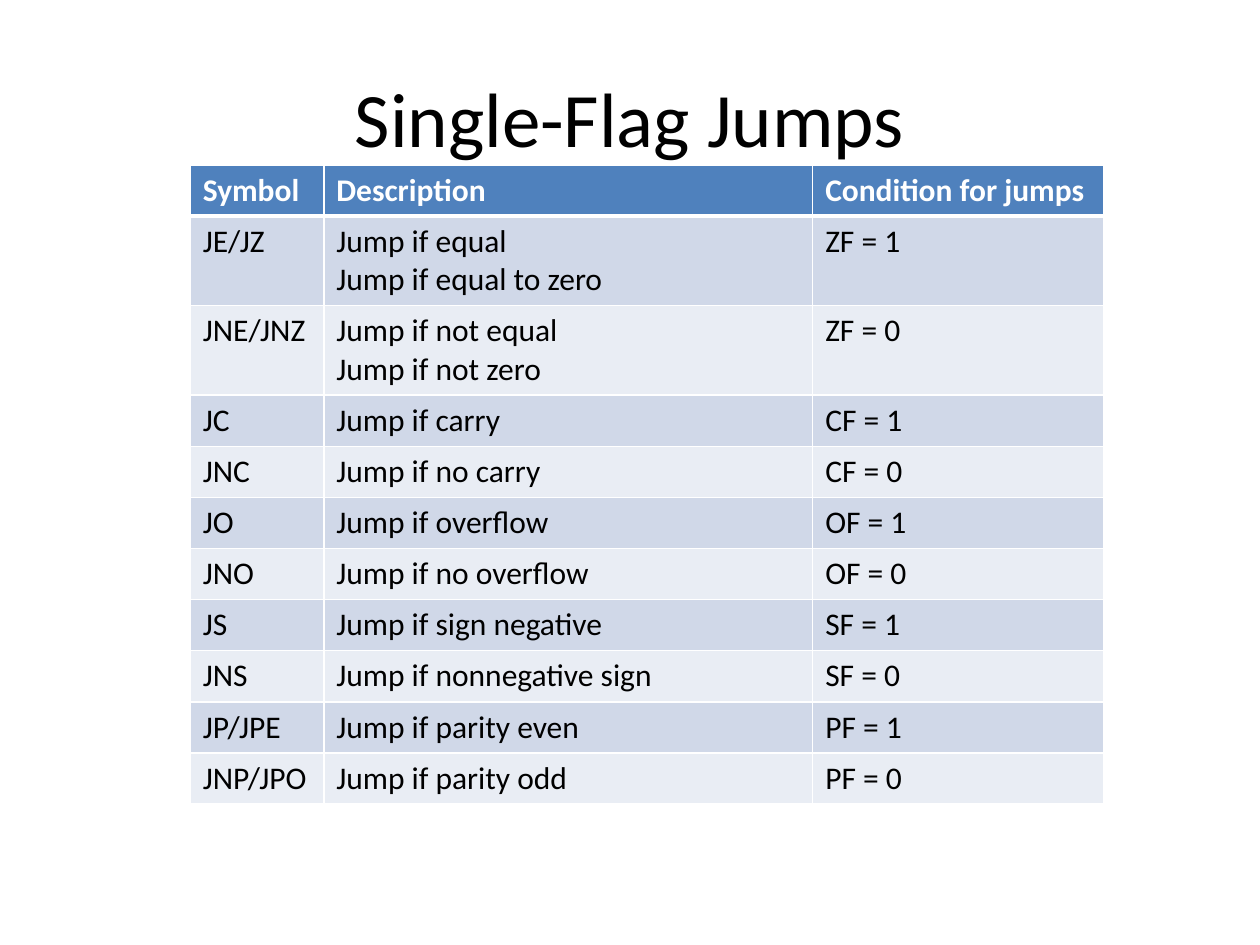
from lxml import etree
from pptx import Presentation
from pptx.dml.color import RGBColor
from pptx.enum.text import MSO_ANCHOR, PP_ALIGN
from pptx.oxml.ns import qn
from pptx.util import Inches, Pt

CENTER = PP_ALIGN.CENTER
MIDDLE = MSO_ANCHOR.MIDDLE
TITLE_ONLY = 5
FONT = "Calibri"
COLORS = {
    "header": "4F81BD",
    "odd_row": "D0D8E8",
    "even_row": "E9EDF4",
    "white": "FFFFFF",
    "black": "000000",
}
THIN, THICK = Pt(0.96), Pt(3)

COLUMN_WIDTHS = [1.06, 3.88, 2.31]
ROW_HEIGHT = 0.4
ROWS = [
    ("Symbol", ["Description"], "Condition for jumps"),
    ("JE/JZ", ["Jump if equal", "Jump if equal to zero"], "ZF = 1"),
    ("JNE/JNZ", ["Jump if not equal", "Jump if not zero"], "ZF = 0"),
    ("JC", ["Jump if carry"], "CF = 1"),
    ("JNC", ["Jump if no carry"], "CF = 0"),
    ("JO", ["Jump if overflow"], "OF = 1"),
    ("JNO", ["Jump if no overflow"], "OF = 0"),
    ("JS", ["Jump if sign negative"], "SF = 1"),
    ("JNS", ["Jump if nonnegative sign"], "SF = 0"),
    ("JP/JPE", ["Jump if parity even"], "PF = 1"),
    ("JNP/JPO", ["Jump if parity odd"], "PF = 0"),
]


def add_run(paragraph, text, size, color, bold=False):
    run = paragraph.add_run()
    run.text = text
    run.font.name = FONT
    run.font.size = Pt(size)
    run.font.bold = bold
    run.font.color.rgb = RGBColor.from_string(COLORS[color])


def set_borders(cell, top, bottom):
    properties = cell._tc.get_or_add_tcPr()
    for side, width in (("L", THIN), ("R", THIN), ("T", top), ("B", bottom)):
        line = etree.SubElement(properties, qn(f"a:ln{side}"), w=str(int(width)))
        fill = etree.SubElement(line, qn("a:solidFill"))
        etree.SubElement(fill, qn("a:srgbClr"), val=COLORS["white"])


presentation = Presentation()
presentation.slide_width = Inches(10)
presentation.slide_height = Inches(7.5)
slide = presentation.slides.add_slide(presentation.slide_layouts[TITLE_ONLY])

# Title
title = slide.shapes.title
title.left, title.top = Inches(0.5), Inches(0.3)
title.width, title.height = Inches(9), Inches(1.25)
title.text_frame.vertical_anchor = MIDDLE
title_paragraph = title.text_frame.paragraphs[0]
title_paragraph.alignment = CENTER
add_run(title_paragraph, "Single-Flag Jumps", 44, "black")

# Table grid
table = slide.shapes.add_table(
    len(ROWS), len(COLUMN_WIDTHS), Inches(1.51), Inches(1.31),
    Inches(sum(COLUMN_WIDTHS)), Inches(ROW_HEIGHT * len(ROWS)),
).table
for column, width in zip(table.columns, COLUMN_WIDTHS):
    column.width = Inches(width)

# Table cells: a header row, then banded rows
for row_index, (symbol, descriptions, condition) in enumerate(ROWS):
    is_header = row_index == 0
    if is_header:
        fill_color, text_color = "header", "white"
    else:
        fill_color = "odd_row" if row_index % 2 else "even_row"
        text_color = "black"
    for column_index, lines in enumerate(([symbol], descriptions, [condition])):
        cell = table.cell(row_index, column_index)
        set_borders(cell, THICK if row_index == 1 else THIN,
                    THICK if is_header else THIN)
        cell.fill.solid()
        cell.fill.fore_color.rgb = RGBColor.from_string(COLORS[fill_color])
        for line_index, text in enumerate(lines):
            frame = cell.text_frame
            paragraph = frame.add_paragraph() if line_index else frame.paragraphs[0]
            add_run(paragraph, text, 18, text_color, bold=is_header)

presentation.save("out.pptx")
